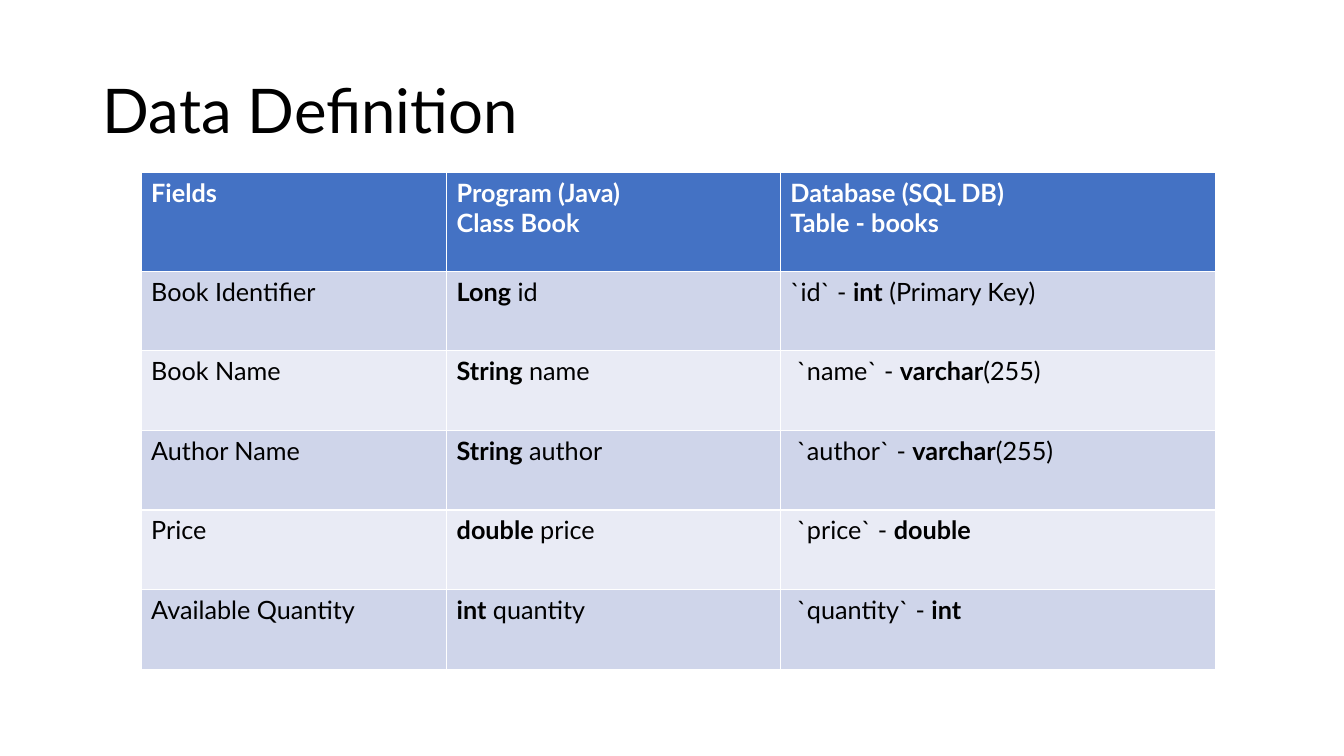
from dataclasses import dataclass

from pptx import Presentation
from pptx.dml.color import RGBColor
from pptx.enum.text import MSO_ANCHOR, PP_ALIGN
from pptx.util import Inches, Pt


@dataclass(frozen=True)
class Theme:
    font: str = "Lato"
    title_size: Pt = Pt(44)
    cell_size: Pt = Pt(18)
    text: RGBColor = RGBColor(0x00, 0x00, 0x00)
    header_text: RGBColor = RGBColor(0xFF, 0xFF, 0xFF)
    header_fill: RGBColor = RGBColor(0x44, 0x72, 0xC4)
    band_fills: tuple = (RGBColor(0xE9, 0xEB, 0xF5), RGBColor(0xCF, 0xD5, 0xEA))


def style_font(para, size, color):
    para.font.name = theme.font
    para.font.size = size
    para.font.color.rgb = color


def write_cell(cell, text, color, bold):
    """Write one paragraph per line; text between ** marks is bold."""
    frame = cell.text_frame
    for number, line in enumerate(text.split("\n")):
        para = frame.add_paragraph() if number else frame.paragraphs[0]
        style_font(para, theme.cell_size, color)
        for position, part in enumerate(line.split("**")):
            if part:
                span = para.add_run()
                span.text = part
                span.font.bold = bold or position % 2 == 1


theme = Theme()
COLUMN_WIDTHS = (3.03, 3.31, 4.32)
HEADER_HEIGHT, ROW_HEIGHT = 0.98, 0.79
ROWS = (
    ("Fields", "Program (Java)\nClass Book", "Database (SQL DB)\nTable - books"),
    ("Book Identifier", "**Long** id", "`id` - **int** (Primary Key)"),
    ("Book Name", "**String** name", " `name` - **varchar**(255)"),
    ("Author Name", "**String** author", " `author` - **varchar**(255)"),
    ("Price", "**double** price", " `price` - **double**"),
    ("Available Quantity", "**int** quantity", " `quantity` - **int**"),
)

deck = Presentation()
deck.slide_width, deck.slide_height = Inches(13.33), Inches(7.5)
page = deck.slides.add_slide(deck.slide_layouts[5])

title = page.shapes.title
title.left, title.top = Inches(0.92), Inches(0.4)
title.width, title.height = Inches(11.5), Inches(1.45)
title.text_frame.text = "Data Definition"
title.text_frame.vertical_anchor = MSO_ANCHOR.MIDDLE
heading = title.text_frame.paragraphs[0]
heading.alignment = PP_ALIGN.LEFT
heading.line_spacing = 0.9
style_font(heading, theme.title_size, theme.text)

table_height = HEADER_HEIGHT + ROW_HEIGHT * (len(ROWS) - 1)
table = page.shapes.add_table(
    len(ROWS), len(COLUMN_WIDTHS), Inches(1.4), Inches(1.71),
    Inches(sum(COLUMN_WIDTHS)), Inches(table_height),
).table
for column, width in zip(table.columns, COLUMN_WIDTHS):
    column.width = Inches(width)

for row_number, texts in enumerate(ROWS):
    is_header = row_number == 0
    row = table.rows[row_number]
    row.height = Inches(HEADER_HEIGHT if is_header else ROW_HEIGHT)
    fill = theme.header_fill if is_header else theme.band_fills[row_number % 2]
    color = theme.header_text if is_header else theme.text
    for cell, text in zip(row.cells, texts):
        cell.fill.solid()
        cell.fill.fore_color.rgb = fill
        write_cell(cell, text, color, is_header)

deck.save("out.pptx")
